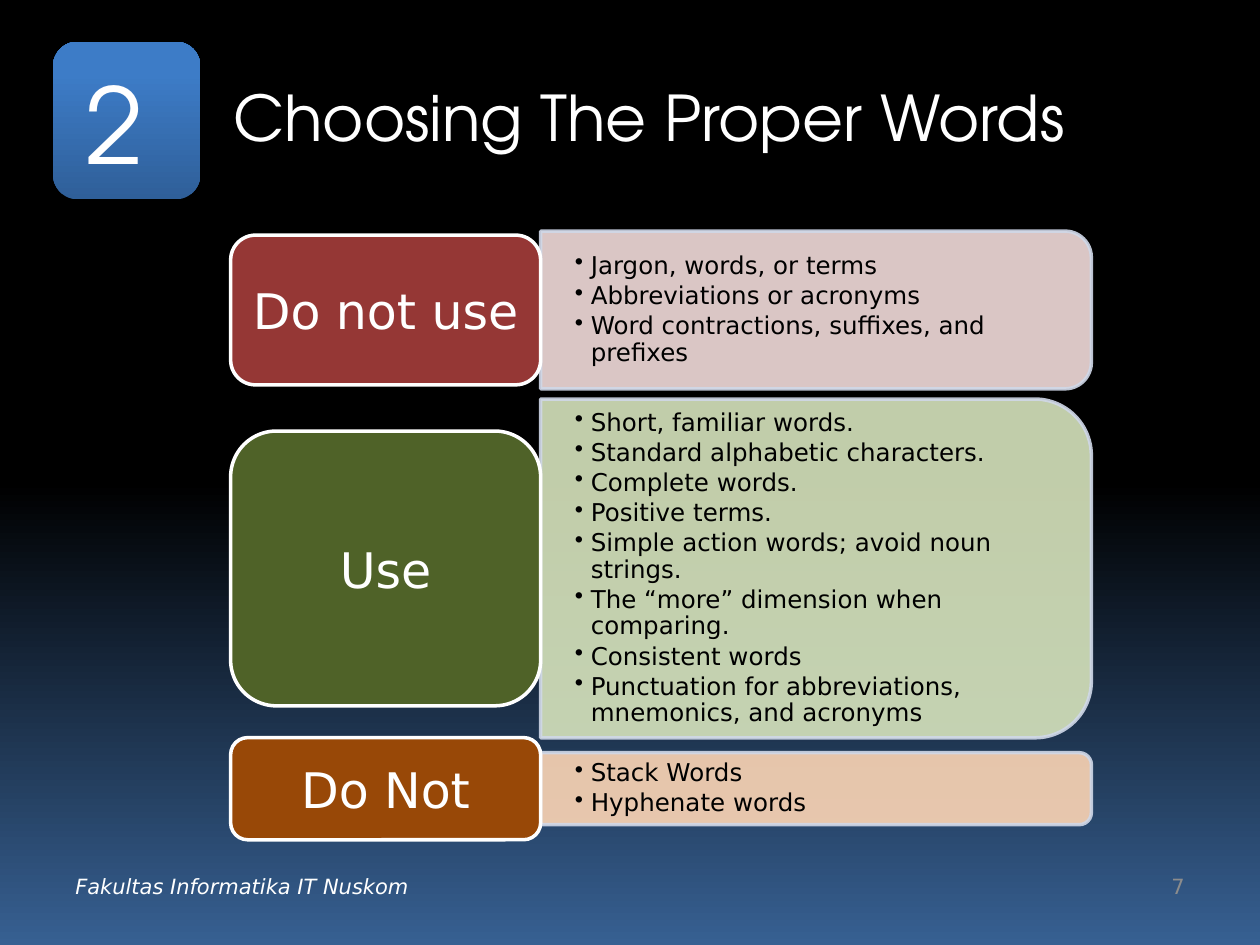
import pptx
import pptx.dml.color
import pptx.enum.shapes
import pptx.enum.text
import pptx.oxml
import pptx.oxml.ns
import pptx.util
from pptx.util import Cm

SHAPE = pptx.enum.shapes.MSO_SHAPE
ALIGN = pptx.enum.text.PP_ALIGN
ANCHOR = pptx.enum.text.MSO_ANCHOR

BODY_FONT = "DejaVu Sans"
TITLE_FONT = "TeX Gyre Adventor"

# Columns of the diagram, in cm
LABEL_LEFT, LABEL_WIDTH = 4.65, 6.25
PANEL_LEFT, PANEL_WIDTH = 10.9, 11.1
CORNER_INSET = 0.05  # share of a panel's height that its round corners take

# Label, label colour, panel colour, centre, label height, panel height, points
ROWS = [
    ("Do not use", "953735", "F2DCDB", 6.25, 3.02, 3.18, [
        "Jargon, words, or terms",
        "Abbreviations or acronyms",
        "Word contractions, suffixes, and prefixes",
    ]),
    ("Use", "4F6228", "D7E4BD", 11.46, 5.54, 6.83, [
        "Short, familiar words.",
        "Standard alphabetic characters.",
        "Complete words.",
        "Positive terms.",
        "Simple action words; avoid noun strings.",
        "The “more” dimension when comparing.",
        "Consistent words",
        "Punctuation for abbreviations, mnemonics, and acronyms",
    ]),
    ("Do Not", "984807", "FCD5B5", 15.9, 2.06, 1.45, [
        "Stack Words",
        "Hyphenate words",
    ]),
]


def color(hex_string):
    return pptx.dml.color.RGBColor.from_string(hex_string)


def set_gradient(fill, angle, stops):
    fill.gradient()
    fill.gradient_angle = angle
    for stop, (position, hex_string) in zip(fill.gradient_stops, stops):
        stop.position = position
        stop.color.rgb = color(hex_string)


def set_opacity(shape, percent):
    """Make the fill and the line of a shape partly transparent."""
    for element in shape._element.spPr.iter(pptx.oxml.ns.qn("a:srgbClr")):
        element.append(pptx.oxml.parse_xml(
            f'<a:alpha {pptx.oxml.ns.nsdecls("a")} val="{percent * 1000}"/>'))


def add_bullet(paragraph, indent):
    properties = paragraph._p.get_or_add_pPr()
    properties.set("marL", str(indent))
    properties.set("indent", str(-indent))
    properties.append(pptx.oxml.parse_xml(
        f'<a:buChar {pptx.oxml.ns.nsdecls("a")} char="•"/>'))


class SlideBuilder:
    def __init__(self, slide):
        self.slide = slide

    def style(self, paragraph, size, font=BODY_FONT, hex_string="FFFFFF",
              italic=False, align=ALIGN.LEFT):
        paragraph.alignment = align
        paragraph.font.size = pptx.util.Pt(size)
        paragraph.font.name = font
        paragraph.font.italic = italic
        paragraph.font.color.rgb = color(hex_string)

    def shape(self, kind, left, top, width, height, fill=None, line=None):
        shape = self.slide.shapes.add_shape(
            kind, Cm(left), Cm(top), Cm(width), Cm(height))
        shape.shadow.inherit = False
        if fill:
            shape.fill.solid()
            shape.fill.fore_color.rgb = color(fill)
        if line:
            shape.line.color.rgb = color(line)
            shape.line.width = pptx.util.Pt(2)
        else:
            shape.line.fill.background()
        return shape

    def text(self, text, left, top, width, height, size, wrap=True,
             anchor=ANCHOR.MIDDLE, **style):
        frame = self.slide.shapes.add_textbox(
            Cm(left), Cm(top), Cm(width), Cm(height)).text_frame
        frame.word_wrap = wrap
        frame.vertical_anchor = anchor
        frame.text = text
        for paragraph in frame.paragraphs:
            self.style(paragraph, size, **style)
        return frame

    def label(self, text, fill, centre, height):
        shape = self.shape(SHAPE.ROUNDED_RECTANGLE, LABEL_LEFT,
                           centre - height / 2, LABEL_WIDTH, height,
                           fill, "FFFFFF")
        frame = shape.text_frame
        frame.margin_left = frame.margin_right = Cm(0.3)
        frame.text = text
        self.style(frame.paragraphs[0], 28, align=ALIGN.CENTER)

    def panel(self, points, fill, centre, height):
        # The shape is drawn upright, then turned about its own centre
        shape = self.shape(SHAPE.ROUND_2_SAME_RECTANGLE,
                           PANEL_LEFT + (PANEL_WIDTH - height) / 2,
                           centre - PANEL_WIDTH / 2, height, PANEL_WIDTH,
                           fill, "D0D8E8")
        shape.rotation = 90
        set_opacity(shape, 90)

        inset = height * CORNER_INSET
        frame = self.text("\n".join(points), PANEL_LEFT,
                          centre - height / 2 + inset, PANEL_WIDTH - inset,
                          height - 2 * inset, 14, hex_string="000000")
        frame.margin_left = frame.margin_right = Cm(0.69)
        frame.margin_top = frame.margin_bottom = Cm(0)
        for paragraph in frame.paragraphs:
            paragraph.line_spacing = 0.9
            paragraph.space_after = pptx.util.Pt(2.1)
            add_bullet(paragraph, Cm(0.32))


def main():
    presentation = pptx.Presentation()
    presentation.slide_width, presentation.slide_height = Cm(25.4), Cm(19.05)
    slide = presentation.slides.add_slide(presentation.slide_layouts[6])
    builder = SlideBuilder(slide)

    # Background
    set_gradient(slide.background.fill, 270, [(0.51, "000000"), (1, "376092")])

    # Numbered badge and title
    badge = builder.shape(SHAPE.ROUNDED_RECTANGLE, 1.07, 0.84, 2.97, 3.18)
    set_gradient(badge.fill, 90, [(0, "2F5F99"), (0.8, "3D7CC7")])
    builder.text("2", 1.47, 1.07, 1.78, 2.82, 60, wrap=False,
                 anchor=ANCHOR.TOP, font=TITLE_FONT)
    builder.text("Choosing The Proper Words", 4.45, 0.76, 19.69, 3.18, 36,
                 font=TITLE_FONT)

    # Diagram rows
    for name, dark, light, centre, label_height, panel_height, points in ROWS:
        builder.panel(points, light, centre, panel_height)
        builder.label(name, dark, centre, label_height)

    # Footer
    builder.text("Fakultas Informatika IT Nuskom", 1.27, 17.35, 8.05, 1.02,
                 12, italic=True)
    builder.text("7", 18.21, 17.35, 5.92, 1.02, 12, hex_string="8C8C8C",
                 align=ALIGN.RIGHT)

    presentation.save("out.pptx")


if __name__ == "__main__":
    main()
